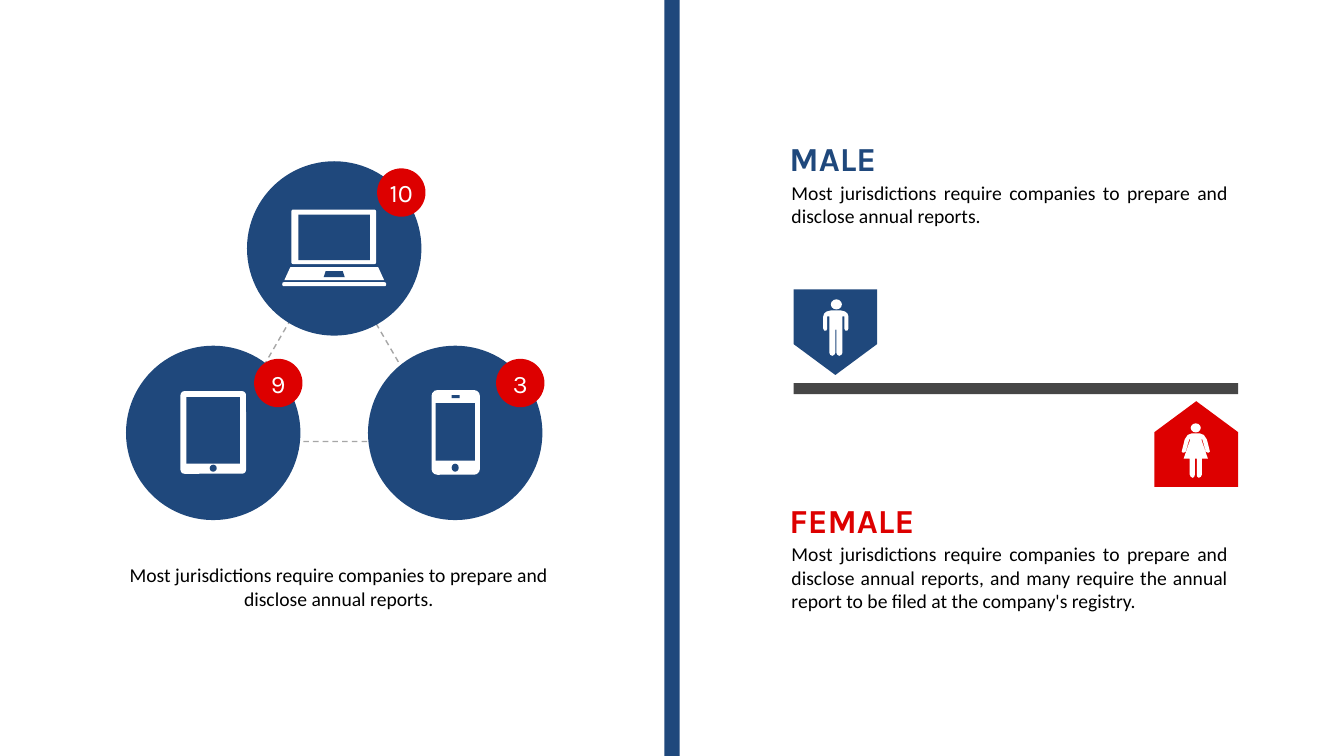
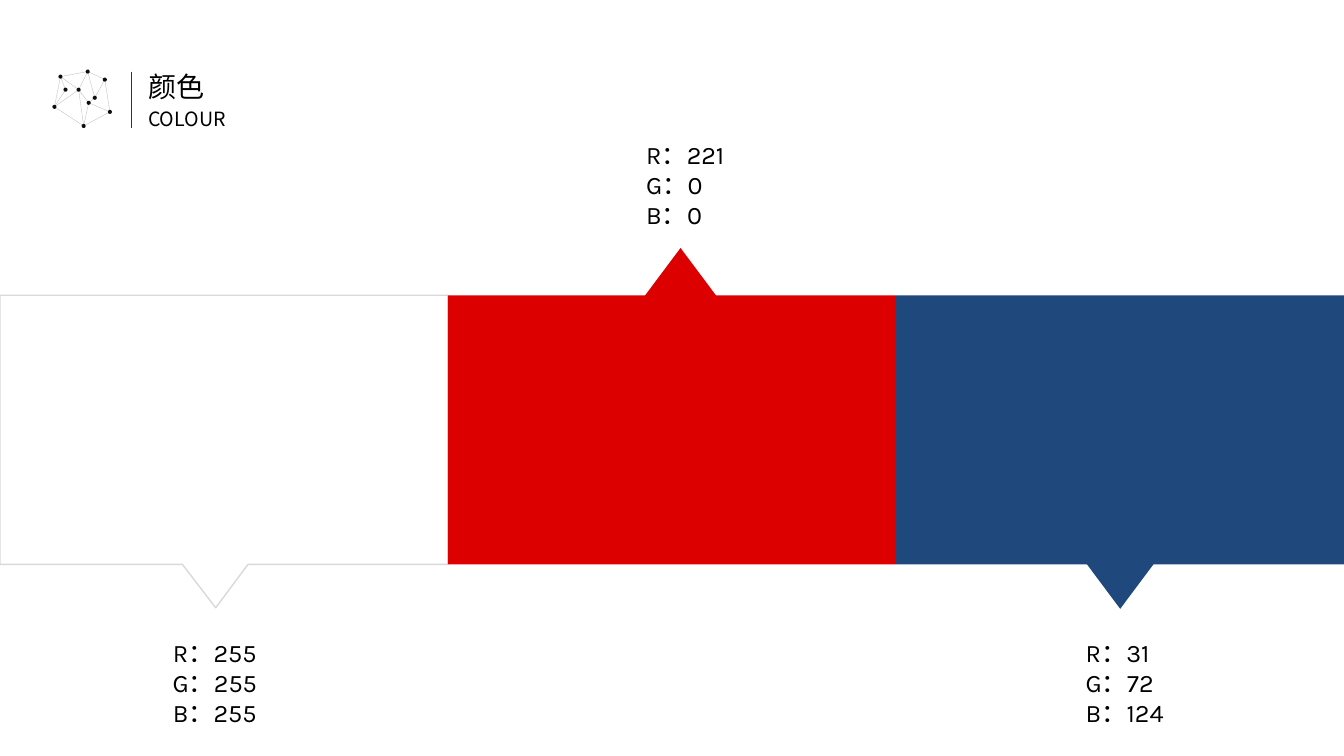
from lxml import etree
from pptx import Presentation
from pptx.dml.color import RGBColor
from pptx.enum.dml import MSO_LINE
from pptx.enum.shapes import MSO_CONNECTOR, MSO_SHAPE
from pptx.enum.text import MSO_ANCHOR, MSO_AUTO_SIZE, PP_ALIGN
from pptx.oxml.ns import qn
from pptx.util import Inches, Pt

OVAL, RECT, ROUND = MSO_SHAPE.OVAL, MSO_SHAPE.RECTANGLE, MSO_SHAPE.ROUNDED_RECTANGLE
TRI, TRAP, PLATE = MSO_SHAPE.ISOSCELES_TRIANGLE, MSO_SHAPE.TRAPEZOID, MSO_SHAPE.PENTAGON
LEFT, MID, JUST = PP_ALIGN.LEFT, PP_ALIGN.CENTER, PP_ALIGN.JUSTIFY
TOP, MIDDLE = MSO_ANCHOR.TOP, MSO_ANCHOR.MIDDLE
FIT, DASH, LINE = MSO_AUTO_SIZE.SHAPE_TO_FIT_TEXT, MSO_LINE.DASH, MSO_CONNECTOR.STRAIGHT

BLUE, RED, WHITE, BLACK = "1F487C", "DD0000", "FFFFFF", "000000"
HEAD, BODY, CJK = "Karla", "Calibri", "Noto Sans CJK SC"
W, H = 13.33, 7.5
hue = RGBColor.from_string


def draw(slide, form, box, fill=None, line=None, turn=0, adj=None):
    """Add a preset shape, or an outline when form is a list of points from box's corner."""
    spot = [Inches(v) for v in box]
    if isinstance(form, list):
        dots = [(Inches(x), Inches(y)) for x, y in form]
        pen = slide.shapes.build_freeform(*dots[0])
        pen.add_line_segments(dots[1:], close=True)
        shape = pen.convert_to_shape(*spot)
    else:
        shape = slide.shapes.add_shape(form, *spot)
    shape.shadow.inherit = False
    shape.rotation = turn
    if adj is not None:
        shape.adjustments[0] = adj
    if fill:
        shape.fill.solid()
        shape.fill.fore_color.rgb = hue(fill)
    else:
        shape.fill.background()
    if line:
        shape.line.color.rgb = hue(line)
        shape.line.width = Pt(1)
    else:
        shape.line.fill.background()
    return shape


def write(shape, text, size, face, color=BLACK, box=None, align=LEFT,
          wrap=True, anchor=TOP, bold=False):
    """Fill a shape with plain paragraphs, and move it when box is given."""
    frame = shape.text_frame
    frame.text = text
    frame.word_wrap = wrap
    frame.vertical_anchor = anchor
    if box:
        shape.left, shape.top, shape.width, shape.height = [Inches(v) for v in box]
        frame.auto_size = FIT
    for para in frame.paragraphs:
        props = para._p.get_or_add_pPr()
        props.set("marL", "0")
        props.set("indent", "0")
        etree.SubElement(props, qn("a:buNone"))
        para.alignment = align
        para.space_before = Pt(0)
        font = para.font
        font.size, font.name, font.bold = Pt(size), face, bold
        font.color.rgb = hue(color)


deck = Presentation()
deck.slide_width, deck.slide_height = Inches(W), Inches(H)

# Slide 1: devices on the left, male and female on the right
slide = deck.slides.add_slide(deck.slide_layouts[4])
title = slide.shapes.title.element
title.getparent().remove(title)
claim = "Most jurisdictions require companies to prepare and disclose annual reports"
more = ", and many require the annual report to be filed at the company's registry."

draw(slide, RECT, (6.59, 0, 0.15, H), BLUE)
edge = draw(slide, TRI, (2.18, 2.46, 2.23, 1.92), line="A6A6A6")
edge.line.dash_style = DASH
for x, y in [(2.45, 1.6), (1.25, 3.43), (3.65, 3.43)]:
    draw(slide, OVAL, (x, y, 1.73, 1.73), BLUE)
for x, y, count in [(3.74, 1.67, "10"), (2.52, 3.56, "9"), (4.92, 3.56, "3")]:
    badge = draw(slide, OVAL, (x, y, 0.48, 0.48), RED)
    write(badge, count, 18, HEAD, WHITE, align=MID, wrap=False, anchor=MIDDLE)

parts = [
    # laptop: lid, screen, keys, pad, foot
    (ROUND, (2.89, 2.08, 0.84, 0.54), WHITE, 0.03),
    (RECT, (2.96, 2.13, 0.71, 0.45), BLUE, None),
    (TRAP, (2.82, 2.65, 0.99, 0.13), WHITE, 0.46),
    (TRAP, (3.21, 2.69, 0.21, 0.06), BLUE, 0.33),
    (ROUND, (2.8, 2.8, 1.03, 0.04), WHITE, 0.4),
    # tablet: case, screen, button
    (ROUND, (1.79, 3.88, 0.65, 0.82), WHITE, 0.06),
    (RECT, (1.85, 3.94, 0.53, 0.66), BLUE, None),
    (OVAL, (2.08, 4.61, 0.07, 0.07), BLUE, None),
    # phone: case, screen, speaker, button
    (ROUND, (4.28, 3.87, 0.48, 0.84), WHITE, 0.12),
    (RECT, (4.32, 4, 0.39, 0.57), BLUE, None),
    (RECT, (4.48, 3.92, 0.08, 0.03), BLUE, None),
    (OVAL, (4.48, 4.6, 0.07, 0.08), BLUE, None),
]
for form, box, fill, adj in parts:
    draw(slide, form, box, fill, adj=adj)
write(slide.shapes.add_textbox(0, 0, 0, 0), claim + ".", 14, BODY,
      box=(1, 5.54, 4.72, 0.57), align=MID)

draw(slide, RECT, (7.87, 3.8, 4.41, 0.11), "464646")
draw(slide, PLATE, (7.86, 2.88, 0.85, 0.83), BLUE, turn=90, adj=0.37)
draw(slide, PLATE, (11.44, 3.99, 0.85, 0.83), RED, turn=270, adj=0.37)

# Right halves of the figures, in hundredths of an inch from the neck
man = [(0, 0), (5, 0), (9, 1), (11.5, 3), (12.5, 6), (12.5, 18), (11.5, 20),
       (9.5, 20), (8.5, 18), (8.5, 6), (6.5, 6), (6.5, 42), (5.5, 44), (3.5, 45),
       (1.5, 44), (0.5, 42), (0.5, 19), (0, 19)]
woman = [(0, 0), (4, 0), (8, 1.5), (11, 6), (14, 18), (13, 19), (11.5, 19),
         (10, 18), (6.5, 6), (5.5, 6), (12, 25), (6, 25), (6, 41), (5, 43),
         (3, 44), (1.5, 43), (1, 41), (1, 25), (0, 25)]
for half, x, y, head in [(man, 8.29, 3.08, (8.24, 2.97, 0.11, 0.1)),
                         (woman, 11.86, 4.3, (11.81, 4.2, 0.1, 0.09))]:
    whole = half + [(-a, b) for a, b in reversed(half[1:-1])]
    draw(slide, [(a / 100, b / 100) for a, b in whole], (x, y), WHITE)
    draw(slide, OVAL, head, WHITE)

holders = {p.placeholder_format.idx: p for p in slide.placeholders}
for idx, name, color, y, wide, text, tall in [
        (1, "MALE", BLUE, 1.32, 1.11, claim + ".", 0.57),
        (3, "FEMALE", RED, 4.91, 1.47, claim + more, 0.81)]:
    write(holders[idx], name, 24, HEAD, color, (7.73, y, wide, 0.5), wrap=False, bold=True)
    write(holders[idx + 1], text, 14, BODY, box=(7.75, y + 0.42, 4.53, tall), align=JUST)

# Slide 2: colour palette
slide = deck.slides.add_slide(deck.slide_layouts[5])
write(slide.shapes.title, "颜色", 20, CJK, box=(1.37, 0.64, 0.76, 0.44), wrap=False)
write(slide.shapes.add_textbox(0, 0, 0, 0), "COLOUR", 14, CJK,
      box=(1.37, 1.01, 1.02, 0.34), wrap=False)

nodes = [(0.83, 1.25), (0.88, 1.02), (1.09, 1.11), (0.94, 0.97), (1.04, 0.79),
         (0.87, 0.71), (0.78, 0.89), (0.6, 0.76), (0.65, 0.89), (0.54, 1.06)]
links = [(2, 4), (0, 2), (9, 0), (7, 5), (5, 4), (9, 7), (4, 3), (1, 0), (3, 1),
         (6, 0), (6, 9), (7, 8), (7, 6), (5, 6), (5, 3), (6, 1), (8, 9), (2, 1)]
lines = [(nodes[a], nodes[b], "BFBFBF", 0.25) for a, b in links]
lines.append(((1.3, 0.71), (1.3, 1.27), "1B3A49", 0.5))
for start, end, color, width in lines:
    wire = slide.shapes.add_connector(LINE, *[Inches(v) for v in start + end])
    wire.line.color.rgb = hue(color)
    wire.line.width = Pt(width)
    etree.SubElement(wire.element.spPr, qn("a:effectLst"))
for x, y in nodes:
    draw(slide, OVAL, (x - 0.02, y - 0.02, 0.04, 0.04), "0D0D0D")

col, top, tall = W / 3, 2.93, 2.67
tab = [(0, 0), (col, 0), (col, tall), (2.46, tall), (2.14, 3.1), (1.81, tall), (0, tall)]
draw(slide, tab, (0, top), WHITE, "D9D9D9")
for i, color, x, y, turn in [(1, RED, 6.22, 2.46, 0), (2, BLUE, 10.58, 5.33, 180)]:
    draw(slide, RECT, (i * col, top, col, tall), color)
    draw(slide, TRI, (x, y, 1.06, 0.71), color, turn=turn)
for x, y, code, align in [(1.49, 6.27, (255, 255, 255), MID),
                          (6.31, 1.33, (221, 0, 0), LEFT),
                          (10.67, 6.27, (31, 72, 124), LEFT)]:
    text = "\n".join(f"{key}：{value}" for key, value in zip("RGB", code))
    write(slide.shapes.add_textbox(0, 0, 0, 0), text, 18, HEAD,
          box=(x, y, 1.28, 1.01), align=align)

deck.save("out.pptx")
